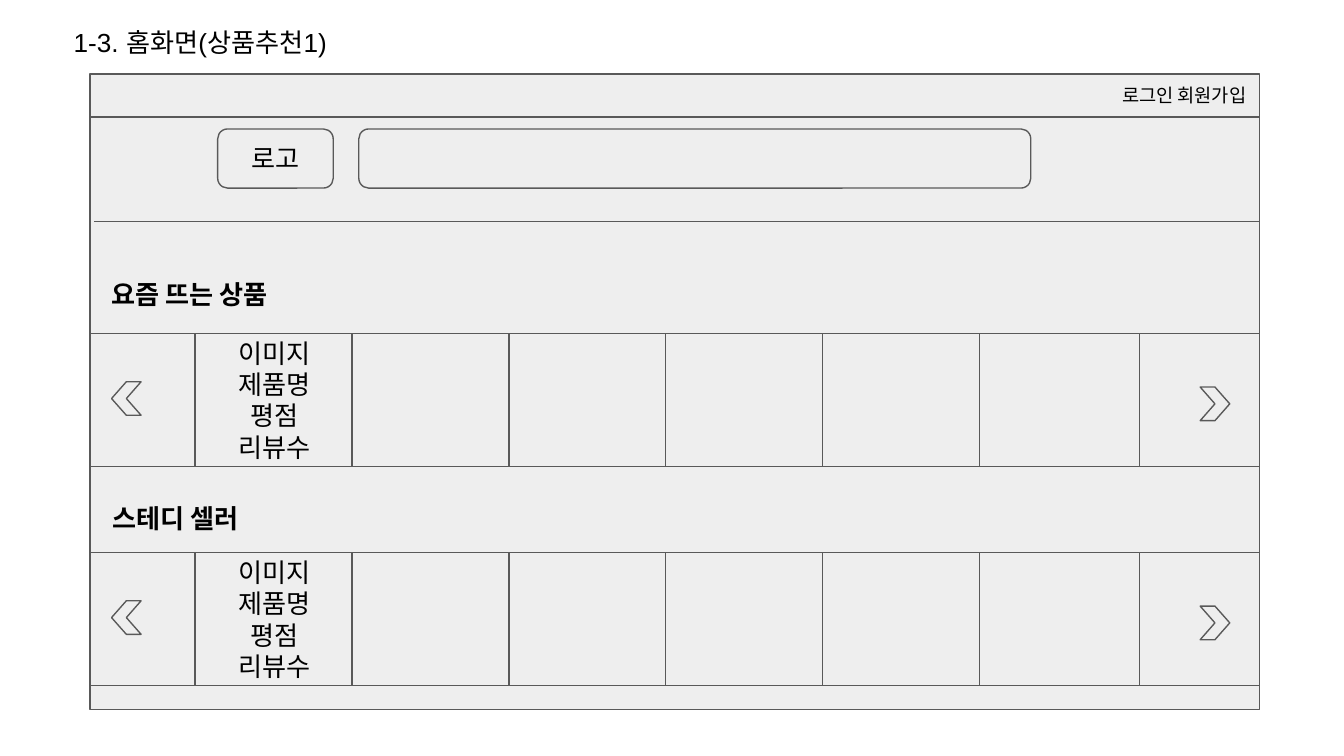
"""Builds the home screen wireframe with two product recommendation carousels."""
from lxml import etree
from pptx import Presentation
from pptx.dml.color import RGBColor
from pptx.enum.shapes import MSO_CONNECTOR, MSO_SHAPE
from pptx.enum.text import MSO_ANCHOR, MSO_AUTO_SIZE, PP_ALIGN
from pptx.oxml.ns import qn
from pptx.util import Inches, Pt

RECT = MSO_SHAPE.RECTANGLE
ROUNDED = MSO_SHAPE.ROUNDED_RECTANGLE
CHEVRON = MSO_SHAPE.CHEVRON
STRAIGHT = MSO_CONNECTOR.STRAIGHT
LEFT, CENTER, RIGHT = PP_ALIGN.LEFT, PP_ALIGN.CENTER, PP_ALIGN.RIGHT
TOP, MIDDLE = MSO_ANCHOR.TOP, MSO_ANCHOR.MIDDLE
GROW = MSO_AUTO_SIZE.SHAPE_TO_FIT_TEXT

COLORS = {"panel": "EEEEEE", "outline": "595959", "text": "000000"}
INSET = Inches(0.1)
FRAME_FORMAT = {
    "word_wrap": True,
    "margin_left": INSET,
    "margin_top": INSET,
    "margin_right": INSET,
    "margin_bottom": INSET,
}
FRAME_LEFT, FRAME_WIDTH = 0.67, 8.7
CARD_COUNT, FIRST_CARD, LAST_CARD = 6, 1.45, 7.29
CARD_PITCH = (LAST_CARD - FIRST_CARD) / (CARD_COUNT - 1)
CARD_WIDTH, ROW_HEIGHT = 1.19, 0.99
CARD_LINES = ["이미지", "제품명", "평점", "리뷰수"]
CAROUSELS = [
    ("요즘 뜨는 상품", 0.73, 1.97, 2.48),
    ("스테디 셀러", 0.74, 3.64, 4.11),
]

prs = Presentation()
prs.slide_width = Inches(10)
prs.slide_height = Inches(10 * 9 / 16)
slide = prs.slides.add_slide(prs.slide_layouts[6])


def write(holder, lines, align, anchor, size=14, bold=False):
    frame = holder.text_frame
    for name, value in {**FRAME_FORMAT, "vertical_anchor": anchor}.items():
        setattr(frame, name, value)
    font_format = {"name": "Arial", "size": Pt(size), "bold": bold}
    for index, line in enumerate(lines):
        paragraph = frame.add_paragraph() if index else frame.paragraphs[0]
        paragraph.alignment = align
        run = paragraph.add_run()
        run.text = line
        for name, value in font_format.items():
            setattr(run.font, name, value)
        run.font.color.rgb = RGBColor.from_string(COLORS["text"])


def add_panel(kind, left, top, width, height):
    panel = slide.shapes.add_shape(
        kind, Inches(left), Inches(top), Inches(width), Inches(height))
    panel.shadow.inherit = False
    panel.fill.solid()
    panel.fill.fore_color.rgb = RGBColor.from_string(COLORS["panel"])
    panel.line.color.rgb = RGBColor.from_string(COLORS["outline"])
    panel.line.width = Pt(0.75)
    return panel


add_panel(RECT, FRAME_LEFT, 0.56, FRAME_WIDTH, 4.72)

title = slide.shapes.add_textbox(Inches(0.45), Inches(0.1), Inches(3.51), Inches(0.44))
write(title, ["1-3. 홈화면(상품추천1)"], LEFT, TOP)
title.text_frame.auto_size = GROW

logo = add_panel(ROUNDED, 1.62, 0.96, 0.86, 0.44)
write(logo, ["로고"], CENTER, MIDDLE)
add_panel(ROUNDED, 2.67, 0.96, 5, 0.44)

account_bar = add_panel(RECT, FRAME_LEFT, 0.55, FRAME_WIDTH, 0.32)
write(account_bar, ["로그인 회원가입"], RIGHT, MIDDLE, size=10)

divider = slide.shapes.add_connector(
    STRAIGHT, Inches(0.7), Inches(1.65), Inches(FRAME_LEFT + FRAME_WIDTH), Inches(1.65))
divider.line.color.rgb = RGBColor.from_string(COLORS["outline"])
divider.line.width = Pt(0.75)
etree.SubElement(divider._element.spPr, qn("a:effectLst"))

for heading_text, heading_left, heading_top, row_top in CAROUSELS:
    heading = slide.shapes.add_textbox(
        Inches(heading_left), Inches(heading_top), Inches(5.48), Inches(0.44))
    write(heading, [heading_text], LEFT, TOP, bold=True)
    heading.text_frame.auto_size = GROW

    add_panel(RECT, FRAME_LEFT, row_top, FRAME_WIDTH, ROW_HEIGHT)
    add_panel(CHEVRON, 8.93, row_top + 0.4, 0.22, 0.25)
    previous_arrow = add_panel(CHEVRON, 0.83, row_top + 0.36, 0.22, 0.25)
    previous_arrow.rotation = 180

    for column in range(CARD_COUNT):
        card = add_panel(
            RECT, FIRST_CARD + column * CARD_PITCH, row_top, CARD_WIDTH, ROW_HEIGHT)
        if column == 0:
            write(card, CARD_LINES, CENTER, MIDDLE)

prs.save("out.pptx")
